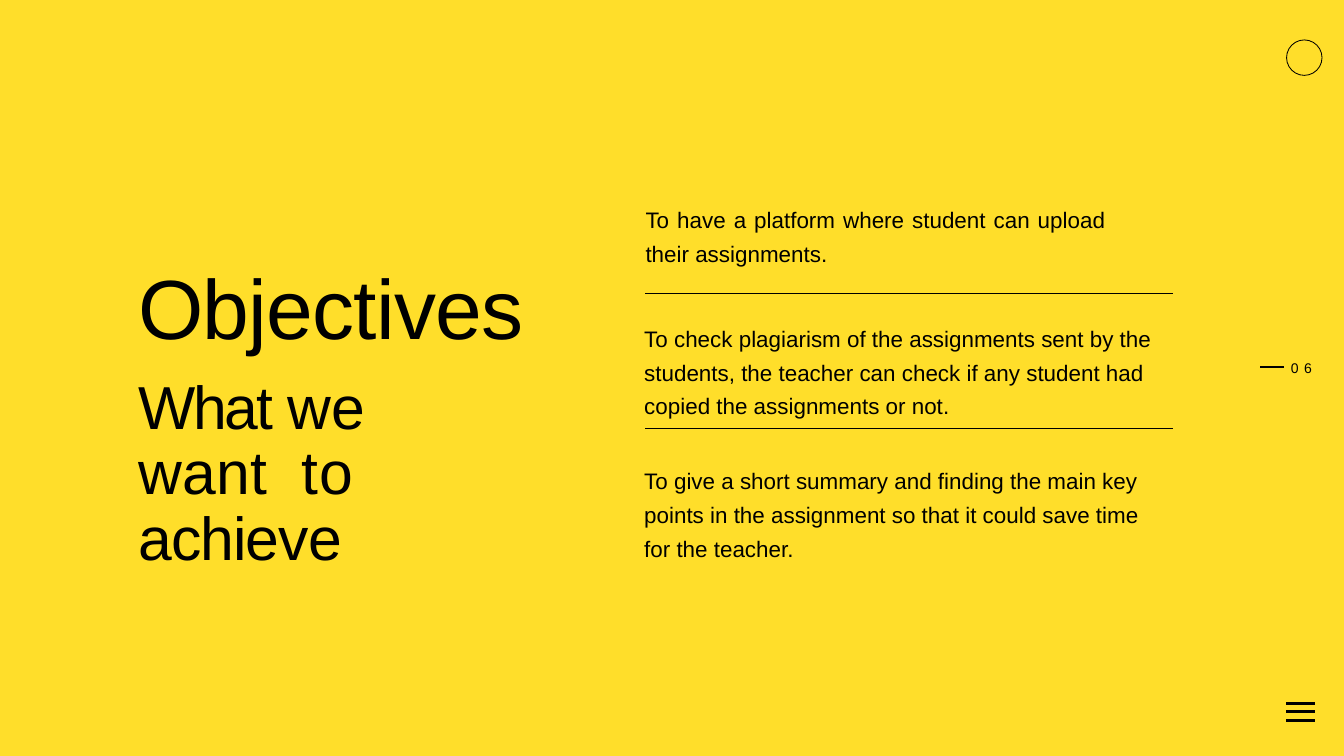
from pptx import Presentation
from pptx.dml.color import RGBColor
from pptx.enum.shapes import MSO_CONNECTOR, MSO_SHAPE
from pptx.enum.text import PP_ALIGN
from pptx.oxml.ns import qn
from pptx.util import Cm, Pt
from lxml import etree

STRAIGHT = MSO_CONNECTOR.STRAIGHT
OVAL = MSO_SHAPE.OVAL
LEFT, JUSTIFY = PP_ALIGN.LEFT, PP_ALIGN.JUSTIFY
YELLOW, BLACK = "FFDE2A", "000000"


def color(hex_string):
    return RGBColor.from_string(hex_string)


def add_text(left, top, width, height, margin_top, paragraphs):
    """Each paragraph is (format values, size, lines); a line is a list of (text, spacing in points)."""
    text_frame = slide.shapes.add_textbox(Cm(left), Cm(top), Cm(width), Cm(height)).text_frame
    frame_format = {"word_wrap": True, "margin_left": 0, "margin_right": 0,
                    "margin_top": Cm(margin_top), "margin_bottom": 0}
    for name, value in frame_format.items():
        setattr(text_frame, name, value)
    for index, (paragraph_format, size, lines) in enumerate(paragraphs):
        paragraph = text_frame.add_paragraph() if index else text_frame.paragraphs[0]
        for name, value in paragraph_format.items():
            setattr(paragraph, name, value)
        for line_index, line in enumerate(lines):
            if line_index:
                paragraph.add_line_break()
            for text, spacing in line:
                run = paragraph.add_run()
                run.text = text
                run.font.name = "Arial"
                run.font.size = Pt(size)
                run.font.color.rgb = color(BLACK)
                if spacing:
                    run.font._element.set("spc", str(round(spacing * 100)))


presentation = Presentation()
presentation.slide_width, presentation.slide_height = Cm(50.8), Cm(28.58)
slide = presentation.slides.add_slide(presentation.slide_layouts[6])
slide.background.fill.solid()
slide.background.fill.fore_color.rgb = color(YELLOW)

# Ring in the top right corner
ring = slide.shapes.add_shape(OVAL, Cm(48.63), Cm(1.51), Cm(1.34), Cm(1.34))
ring.shadow.inherit = False
ring.fill.background()
ring.line.color.rgb = color(BLACK)
ring.line.width = Pt(0.9)

# Title and subtitle
title_format = {"alignment": LEFT}
subtitle_format = {"alignment": LEFT, "line_spacing": Pt(70.1), "space_before": Pt(20.9)}
subtitle_lines = [
    [("What ", -2.4), ("we", -0.3)],
    [("want", 0.2), (" ", 18.3), ("to", 1.4)],
    [("achieve", -1)],
]
add_text(5.23, 8.76, 14.63, 10.11, 0.91, [
    (title_format, 90, [[("Objectives", -0.8)]]),
    (subtitle_format, 65, subtitle_lines),
])

# Objectives
objectives = [
    (24.4, 7.44, 17.37, 2.59, JUSTIFY,
     [("To have a platform where student can upload their assignments.", 0)]),
    (24.35, 11.94, 19.94, 3.89, LEFT,
     [("To check plagiarism of the assignments sent by the students, the teacher "
       "can check if any student had copied the assignments or not", 0), (".", 2)]),
    (24.35, 17.32, 18.9, 3.89, LEFT,
     [("To give a short summary and finding the main key points in the assignment "
       "so that it could save time for the teacher.", 0)]),
]
for left, top, width, height, alignment, runs in objectives:
    objective_format = {"alignment": alignment, "line_spacing": 1.25}
    add_text(left, top, width, height, 0.1, [(objective_format, 24, [runs])])

# Page number
add_text(48.79, 13.54, 0.97, 0.71, 0.05, [(title_format, 15, [[("0", 5.9), ("6", 3)]])])

# Dividers, page number dash and menu bars: left, top, length, line width
rules = [
    (24.38, 11.1, 19.96, 0.75),
    (24.38, 16.21, 19.96, 0.75),
    (47.63, 13.89, 0.89, 2.25),
]
rules += [(48.62, 26.59 + 0.32 * bar, 1.07, 3.5) for bar in range(3)]
for left, top, length, line_width in rules:
    rule = slide.shapes.add_connector(STRAIGHT, Cm(left), Cm(top), Cm(left + length), Cm(top))
    rule.line.color.rgb = color(BLACK)
    rule.line.width = Pt(line_width)
    etree.SubElement(rule._element.spPr, qn("a:effectLst"))

presentation.save("out.pptx")
